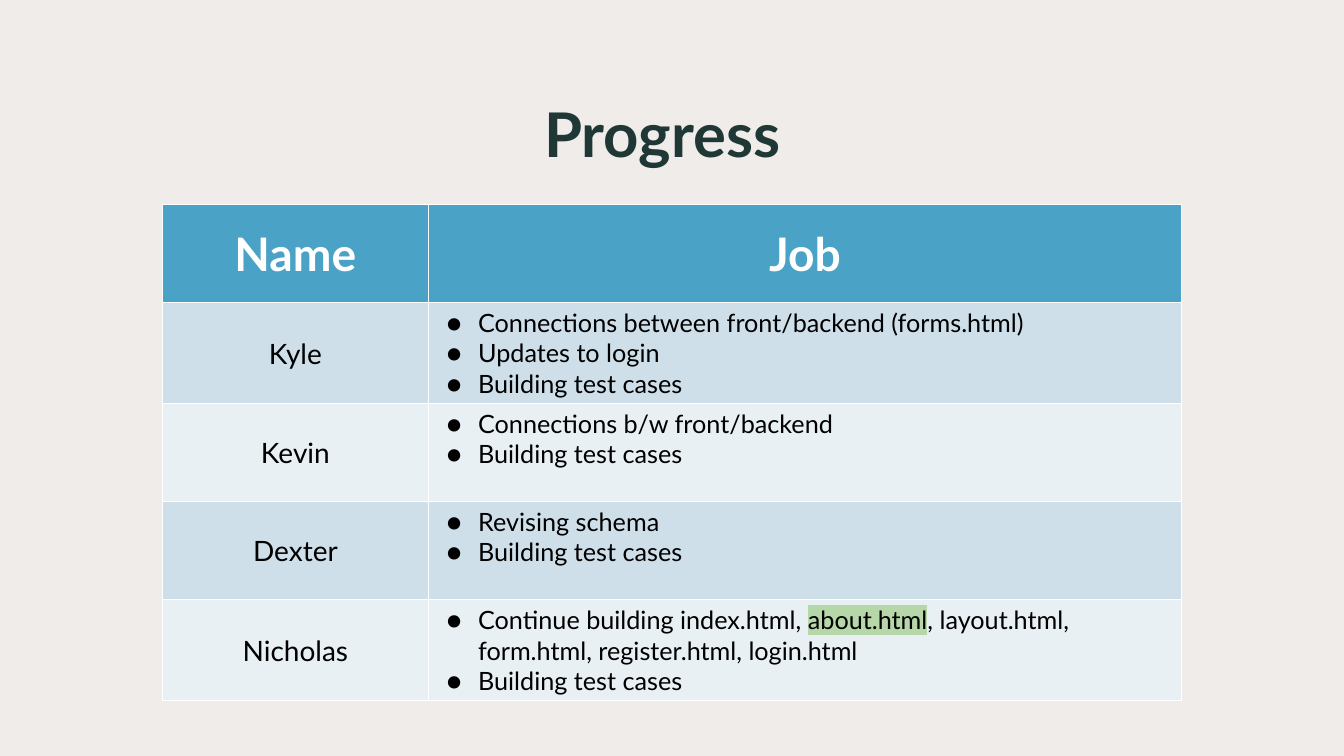
"""Build the team progress slide with its table of names and jobs."""
from dataclasses import dataclass

import lxml.etree
import pptx
import pptx.dml.color
import pptx.enum.shapes
import pptx.enum.text
import pptx.oxml
import pptx.oxml.ns
import pptx.slide
import pptx.table
import pptx.text.text
import pptx.util

Inches = pptx.util.Inches
RGBColor = pptx.dml.color.RGBColor
ALIGN = pptx.enum.text.PP_ALIGN
ANCHOR = pptx.enum.text.MSO_ANCHOR
qn = pptx.oxml.ns.qn

TINT = RGBColor(0xE8, 0xE4, 0xE2)
TITLE_COLOR = RGBColor(0x20, 0x38, 0x35)
WHITE = RGBColor(0xFF, 0xFF, 0xFF)
BLACK = RGBColor(0x00, 0x00, 0x00)
HEADER_FILL = RGBColor(0x4A, 0xA2, 0xC6)
BAND_FILLS = (RGBColor(0xCF, 0xDF, 0xEA), RGBColor(0xE8, 0xF0, 0xF4))
HIGHLIGHT = RGBColor(0xB6, 0xD7, 0xA8)

FONT = "Lato"
SLIDE_WIDTH, SLIDE_HEIGHT = Inches(13.33), Inches(7.5)
BORDER_WIDTH = pptx.util.Pt(0.96)
BULLET_INDENT = pptx.util.Pt(22.5)
TABLE_HEIGHT = Inches(4.87)
COLUMN_WIDTHS = (Inches(2.64), Inches(7.47))


@dataclass(frozen=True)
class Backdrop:
    color: RGBColor
    opacity: int


@dataclass(frozen=True)
class Member:
    name: str
    jobs: tuple[str, ...]
    marked: str = ""


BACKDROPS = (Backdrop(WHITE, 100), Backdrop(TINT, 69))
TESTS = "Building test cases"
MEMBERS = (
    Member("Kyle", ("Connections between front/backend (forms.html)", "Updates to login", TESTS)),
    Member("Kevin", ("Connections b/w front/backend", TESTS)),
    Member("Dexter", ("Revising schema", TESTS)),
    Member(
        "Nicholas",
        ("Continue building index.html, about.html, layout.html, form.html, register.html, login.html", TESTS),
        marked="about.html",
    ),
)


def add_backdrop(page: pptx.slide.Slide, backdrop: Backdrop) -> None:
    """Cover the page with a plain rectangle behind the title."""
    shape = page.shapes.add_shape(
        pptx.enum.shapes.MSO_SHAPE.RECTANGLE, 0, 0, SLIDE_WIDTH, SLIDE_HEIGHT
    )
    shape.shadow.inherit = False
    shape.line.fill.background()
    shape.fill.solid()
    shape.fill.fore_color.rgb = backdrop.color
    if backdrop.opacity < 100:
        color = shape._element.spPr.find(qn("a:solidFill")).find(qn("a:srgbClr"))
        lxml.etree.SubElement(color, qn("a:alpha"), val=str(backdrop.opacity * 1000))
    page.shapes.title._element.addprevious(shape._element)


def add_text(
    para: pptx.text.text._Paragraph,
    text: str,
    *,
    size: float,
    color: RGBColor = BLACK,
    bold: bool = False,
    align: ALIGN = ALIGN.LEFT,
    highlight: RGBColor | None = None,
) -> None:
    """Append one formatted span to a paragraph."""
    para.alignment = align
    span = para.add_run()
    span.text = text
    span.font.size = pptx.util.Pt(size)
    span.font.bold = bold
    span.font.color.rgb = color
    if highlight is not None:
        mark = lxml.etree.Element(qn("a:highlight"))
        lxml.etree.SubElement(mark, qn("a:srgbClr"), val=str(highlight))
        span.font._element.find(qn("a:solidFill")).addnext(mark)
    span.font.name = FONT


def add_bullet(para: pptx.text.text._Paragraph) -> None:
    """Give a paragraph a hanging round bullet."""
    properties = para._p.get_or_add_pPr()
    properties.set("marL", str(BULLET_INDENT))
    properties.set("indent", str(-BULLET_INDENT))
    color = lxml.etree.SubElement(properties, qn("a:buClr"))
    lxml.etree.SubElement(color, qn("a:srgbClr"), val=str(BLACK))
    lxml.etree.SubElement(properties, qn("a:buFont"), typeface=FONT)
    lxml.etree.SubElement(properties, qn("a:buChar"), char="●")


def format_cell(cell: pptx.table._Cell, fill: RGBColor, anchor: ANCHOR) -> None:
    """Set the margins, anchor, white borders and fill of a cell."""
    cell.margin_left = cell.margin_right = Inches(0.18)
    cell.margin_top = cell.margin_bottom = Inches(0.05)
    cell.vertical_anchor = anchor
    properties = cell._tc.get_or_add_tcPr()
    for side in ("lnL", "lnR", "lnT", "lnB"):
        border = lxml.etree.SubElement(properties, qn(f"a:{side}"), w=str(BORDER_WIDTH))
        paint = lxml.etree.SubElement(border, qn("a:solidFill"))
        lxml.etree.SubElement(paint, qn("a:srgbClr"), val=str(WHITE))
    cell.fill.solid()
    cell.fill.fore_color.rgb = fill


def fill_jobs(cell: pptx.table._Cell, member: Member) -> None:
    """Write the bulleted jobs of a member, highlighting the marked word."""
    box = cell.text_frame
    for index, job in enumerate(member.jobs):
        para = box.add_paragraph() if index else box.paragraphs[0]
        add_bullet(para)
        parts = job.partition(member.marked) if member.marked else (job,)
        for part in filter(None, parts):
            add_text(para, part, size=18, highlight=HIGHLIGHT if part == member.marked else None)


def add_progress_table(page: pptx.slide.Slide) -> None:
    """Add the table with a header row and one banded row per member."""
    frame = page.shapes.add_table(
        len(MEMBERS) + 1, len(COLUMN_WIDTHS), Inches(1.61), Inches(2.03), sum(COLUMN_WIDTHS), TABLE_HEIGHT
    )
    table = frame.table
    for column, width in zip(table.columns, COLUMN_WIDTHS):
        column.width = width
    for index, heading in enumerate(("Name", "Job")):
        cell = table.cell(0, index)
        format_cell(cell, HEADER_FILL, ANCHOR.MIDDLE)
        add_text(cell.text_frame.paragraphs[0], heading, size=33, color=WHITE, bold=True, align=ALIGN.CENTER)
    for index, member in enumerate(MEMBERS):
        fill = BAND_FILLS[index % len(BAND_FILLS)]
        name_cell, job_cell = table.rows[index + 1].cells
        format_cell(name_cell, fill, ANCHOR.MIDDLE)
        add_text(name_cell.text_frame.paragraphs[0], member.name, size=20, align=ALIGN.CENTER)
        format_cell(job_cell, fill, ANCHOR.TOP)
        fill_jobs(job_cell, member)


def add_title(page: pptx.slide.Slide, text: str) -> None:
    """Place and format the slide title."""
    title = page.shapes.title
    title.left, title.top = Inches(0.92), Inches(0.62)
    title.width, title.height = Inches(11.3), Inches(1.4)
    title.text_frame.vertical_anchor = ANCHOR.MIDDLE
    add_text(
        title.text_frame.paragraphs[0], text, size=44, color=TITLE_COLOR, bold=True, align=ALIGN.CENTER
    )


def main() -> None:
    """Create the deck and save it."""
    deck = pptx.Presentation()
    deck.slide_width, deck.slide_height = SLIDE_WIDTH, SLIDE_HEIGHT
    page = deck.slides.add_slide(deck.slide_layouts.get_by_name("Title Only"))
    for backdrop in BACKDROPS:
        add_backdrop(page, backdrop)
    add_title(page, "Progress")
    add_progress_table(page)
    deck.save("out.pptx")


if __name__ == "__main__":
    main()
